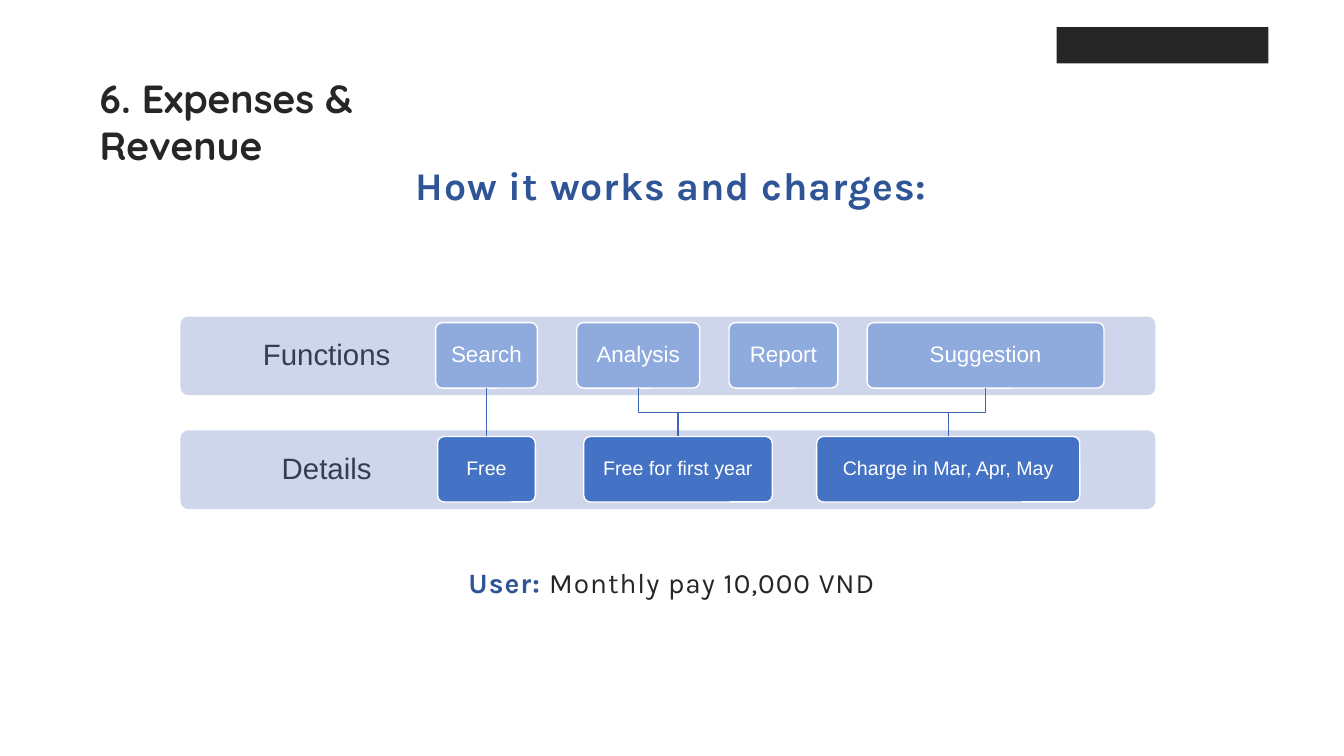
from lxml import etree
from pptx import Presentation
from pptx.dml.color import RGBColor
from pptx.enum.shapes import MSO_CONNECTOR as LINK, MSO_SHAPE as SHAPE
from pptx.enum.text import MSO_ANCHOR as ANCHOR, PP_ALIGN as ALIGN
from pptx.oxml.ns import qn
from pptx.util import Inches, Pt

NAVY, INK, SLATE, WHITE = "2F5597", "262626", "333F50", "FFFFFF"
BAND, LIGHT, BLUE, WIRE = "CFD5EA", "8FAADC", "4472C4", "3E67B2"


def rgb(code):
    return RGBColor.from_string(code)


def write(frame, runs, size, font="Arial", align=ALIGN.CENTER, space=1,
          after=0, track=0, anchor=ANCHOR.TOP, inset=(0.1, 0.05, 0.1, 0.05)):
    """Fill a frame with one paragraph of (text, colour, bold) runs."""
    frame.word_wrap = True
    frame.vertical_anchor = anchor
    (frame.margin_left, frame.margin_top,
     frame.margin_right, frame.margin_bottom) = map(Inches, inset)
    para = frame.paragraphs[0]
    para.alignment, para.line_spacing = align, space
    para.space_before, para.space_after = Pt(0), Pt(after)
    for text, color, bold in runs:
        run = para.add_run()
        run.text = text
        run.font.name, run.font.size, run.font.bold = font, Pt(size), bold
        run.font.color.rgb = rgb(color)
        if track:
            run._r.get_or_add_rPr().set("spc", str(round(track * 100)))


def text(slide, box, runs, size, **style):
    frame = slide.shapes.add_textbox(*map(Inches, box)).text_frame
    write(frame, runs, size, **style)


def panel(slide, box, fill, edge=None, kind=SHAPE.ROUNDED_RECTANGLE):
    shape = slide.shapes.add_shape(kind, *map(Inches, box))
    shape.shadow.inherit = False
    shape.fill.solid()
    shape.fill.fore_color.rgb = rgb(fill)
    if kind == SHAPE.ROUNDED_RECTANGLE:
        shape.adjustments[0] = 0.1
    if edge:
        shape.line.color.rgb = rgb(edge)
        shape.line.width = Pt(1)
    else:
        shape.line.fill.background()
    return shape


def wire(slide, points):
    """Draw a straight connector, or an open bent line for more points."""
    if len(points) == 2:
        (x1, y1), (x2, y2) = points
        line = slide.shapes.add_connector(
            LINK.STRAIGHT, Inches(x1), Inches(y1), Inches(x2), Inches(y2))
        etree.SubElement(line._element.spPr, qn("a:effectLst"))
    else:
        spots = [(Inches(x), Inches(y)) for x, y in points]
        pen = slide.shapes.build_freeform(*spots[0])
        pen.add_line_segments(spots[1:], close=False)
        line = pen.convert_to_shape()
        line.shadow.inherit = False
        line.fill.background()
    line.line.color.rgb = rgb(WIRE)
    line.line.width = Pt(1)


def row(slide, box, label, chips, fill, size):
    """Draw a labelled band with its chips; return each chip's centre."""
    left, top, width, height = box
    write(panel(slide, box, BAND).text_frame, [(label, SLATE, False)], 21,
          space=0.9, anchor=ANCHOR.MIDDLE, inset=(0.16, 0.16, 6.93, 0.16))
    mids = []
    for name, start, wide in chips:
        chip = panel(slide, (left + start, top + 0.06, wide, 0.65), fill, WHITE)
        write(chip.text_frame, [(name, WHITE, False)], size, space=0.9,
              anchor=ANCHOR.MIDDLE, inset=(0.08,) * 4)
        mids.append(left + start + wide / 2)
    return mids


def diagram(slide, box):
    left, top, width, height = box
    band = 0.78
    low = top + height - band
    # Bands and chips: name, offset from the band, width
    search, study, _, advice = row(
        slide, (left, top, width, band), "Functions",
        [("Search", 2.53, 1.01), ("Analysis", 3.93, 1.22),
         ("Report", 5.44, 1.08), ("Suggestion", 6.81, 2.35)], LIGHT, 16)
    free, year, charge = row(
        slide, (left, low, width, band), "Details",
        [("Free", 2.55, 0.97), ("Free for first year", 4, 1.87),
         ("Charge in Mar, Apr, May", 6.31, 2.61)], BLUE, 14)
    # Links between the bands
    start, end = top + 0.71, low + 0.06
    mid = (start + end) / 2
    wire(slide, [(search, start), (search, end)])
    for a, b in ((study, year), (advice, charge)):
        wire(slide, [(a, start), (a, mid), (b, mid), (b, end)])
    wire(slide, [(year, mid), (charge, mid)])


def header(slide, box):
    left, top, width, height = box
    text(slide, (left, top + 0.42, 3.99, 0.57),
         [("6. Expenses & Revenue", INK, True)], 28,
         font="Quicksand", align=ALIGN.LEFT)
    # Plain mark in the top right corner
    panel(slide, (left + width - 2.1, top, 2.1, 0.36), INK,
          kind=SHAPE.RECTANGLE)


def caption(slide, box, runs, size):
    text(slide, box, runs, size, font="Karla", space=1.14, after=6, track=0.7)


def main():
    deck = Presentation()
    deck.slide_width, deck.slide_height = Inches(13.33), Inches(7.5)
    slide = deck.slides.add_slide(deck.slide_layouts[6])
    header(slide, (0.89, 0.27, 11.69, 1))
    caption(slide, (2.62, 1.49, 8.08, 0.61),
            [("How it works and charges:", NAVY, True)], 28)
    diagram(slide, (1.79, 3.14, 9.67, 1.91))
    caption(slide, (2.62, 5.51, 8.08, 0.47),
            [("User: ", NAVY, True), ("Monthly pay 10,000 VND", INK, False)], 20)
    deck.save("out.pptx")


if __name__ == "__main__":
    main()
